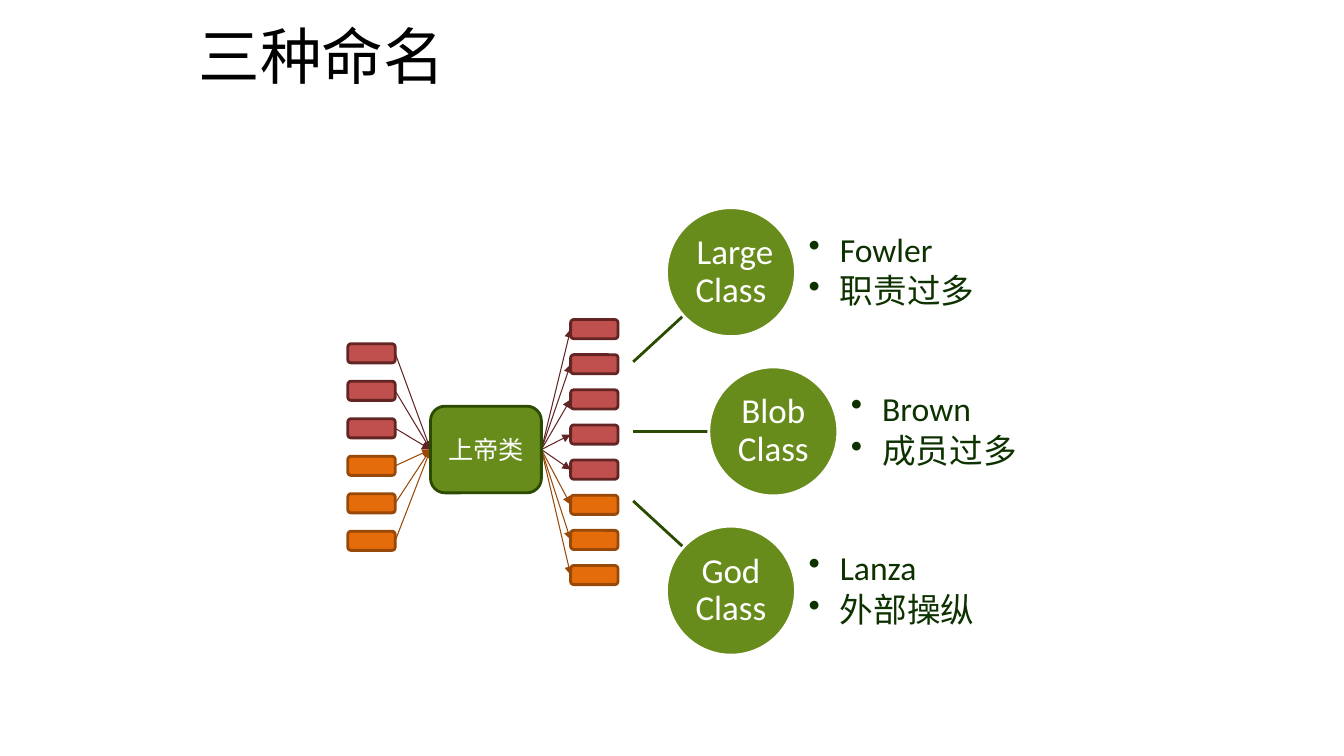
from dataclasses import dataclass

import pptx
import pptx.dml.color
import pptx.enum.shapes
import pptx.enum.text
import pptx.oxml
import pptx.oxml.ns
import pptx.util
from pptx.util import Inches

SHAPE = pptx.enum.shapes.MSO_SHAPE
ALIGN = pptx.enum.text.PP_ALIGN
MIDDLE = pptx.enum.text.MSO_ANCHOR.MIDDLE
GREEN, DARK_GREEN = "678C1C", "2B4B01"
RED, DARK_RED = "C0504D", "632523"
ORANGE, DARK_ORANGE = "E46C0A", "984807"
CIRCLE = 1.28


@dataclass
class Naming:
    name: str
    points: list[str]
    left: float
    top: float
    spoke: tuple[float, float, float, float]


@dataclass
class Column:
    left: float
    first: float
    last: float
    reds: int
    oranges: int
    incoming: bool


NAMINGS = [
    Naming(" Large Class", ["Fowler", "职责过多"], 6.61, 2.06, (6.28, 3.59, 6.78, 3.13)),
    Naming("Blob Class", ["Brown", "成员过多"], 7.03, 3.64, (6.28, 4.28, 7.03, 4.28)),
    Naming("God Class", ["Lanza", "外部操纵"], 6.61, 5.22, (6.28, 4.97, 6.78, 5.43)),
]
COLUMNS = [
    Column(3.45, 3.41, 5.27, 3, 3, True),
    Column(5.66, 3.17, 5.61, 5, 3, False),
]


def rgb(color: str):
    return pptx.dml.color.RGBColor.from_string(color)


def add_element(parent, xml: str):
    ns = pptx.oxml.ns.nsdecls("a")
    parent.append(pptx.oxml.parse_xml(xml.replace("/>", f" {ns}/>", 1)))


def format_font(font, size: float, color: str, name: str = "Calibri"):
    font.size = pptx.util.Pt(size)
    font.name = name
    font.color.rgb = rgb(color)


def set_frame(sp, inset: float):
    tf = sp.text_frame
    tf.word_wrap = True
    tf.vertical_anchor = MIDDLE
    tf.margin_left = tf.margin_right = tf.margin_top = tf.margin_bottom = Inches(inset)
    return tf


def add_box(s, kind, left: float, top: float, width: float, height: float, fill: str, line: str):
    sp = s.shapes.add_shape(kind, Inches(left), Inches(top), Inches(width), Inches(height))
    sp.shadow.inherit = False
    sp.fill.solid()
    sp.fill.fore_color.rgb = rgb(fill)
    sp.line.color.rgb = rgb(line)
    sp.line.width = pptx.util.Pt(2)
    return sp


def add_label(sp, text: str, size: float, inset: float, spacing: float = 1.0):
    tf = set_frame(sp, inset)
    tf.text = text
    p = tf.paragraphs[0]
    p.alignment = ALIGN.CENTER
    p.line_spacing = spacing
    format_font(p.runs[0].font, size, "FFFFFF")


def add_line(s, x1: float, y1: float, x2: float, y2: float, color: str, width: float, arrow: bool = False):
    cx = s.shapes.add_connector(
        pptx.enum.shapes.MSO_CONNECTOR.STRAIGHT, Inches(x1), Inches(y1), Inches(x2), Inches(y2))
    cx.line.color.rgb = rgb(color)
    cx.line.width = pptx.util.Pt(width)
    if arrow:
        add_element(cx.line._get_or_add_ln(), '<a:tailEnd type="triangle"/>')
    add_element(cx._element.spPr, "<a:effectLst/>")
    return cx


def add_title(s, text: str):
    sp = s.shapes.add_textbox(Inches(1.87), Inches(0.13), Inches(2.94), Inches(0.83))
    tf = sp.text_frame
    tf.word_wrap = True
    tf.vertical_anchor = MIDDLE
    tf.text = text
    format_font(tf.paragraphs[0].runs[0].font, 44, "000000", "Noto Sans CJK SC")


def add_points(s, points: list[str], left: float, top: float):
    sp = s.shapes.add_textbox(Inches(left), Inches(top), Inches(1.92), Inches(CIRCLE))
    tf = set_frame(sp, 0)
    tf.text = "\n".join(points)
    for p in tf.paragraphs:
        p.level = 1
        p.line_spacing = 0.9
        p.space_after = pptx.util.Pt(3.6)
        pPr = p._p.get_or_add_pPr()
        pPr.set("marL", str(Inches(0.31)))
        pPr.set("indent", str(-Inches(0.31)))
        add_element(pPr, '<a:buChar char="•"/>')
        format_font(p.runs[0].font, 24, "0D3200")


def add_naming(s, naming: Naming):
    add_line(s, *naming.spoke, DARK_GREEN, 2)
    sp = add_box(s, SHAPE.OVAL, naming.left, naming.top, CIRCLE, CIRCLE, GREEN, "FFFFFF")
    add_label(sp, naming.name, 25, 0.01, 0.9)
    add_points(s, naming.points, naming.left + CIRCLE + 0.13, naming.top)


def add_column(s, column: Column):
    colors = [(RED, DARK_RED)] * column.reds + [(ORANGE, DARK_ORANGE)] * column.oranges
    step = (column.last - column.first) / (len(colors) - 1)
    return [
        (add_box(s, SHAPE.ROUNDED_RECTANGLE, column.left, column.first + i * step, 0.47, 0.19, fill, line),
         line, column.incoming)
        for i, (fill, line) in enumerate(colors)
    ]


def add_god_class(s):
    members = [member for column in COLUMNS for member in add_column(s, column)]
    arrows = [add_line(s, 0, 0, 1, 1, color, 0.75, True) for _, color, _ in members]
    god = add_box(s, SHAPE.ROUNDED_RECTANGLE, 4.27, 4.03, 1.1, 0.86, GREEN, DARK_GREEN)
    add_label(god, "上帝类", 18, 0.05)
    for arrow, (member, _, incoming) in zip(arrows, members):
        source, target = (member, god) if incoming else (god, member)
        arrow.begin_connect(source, 3)
        arrow.end_connect(target, 1)


def main():
    prs = pptx.Presentation()
    prs.slide_width, prs.slide_height = Inches(13.33), Inches(7.5)
    s = prs.slides.add_slide(prs.slide_layouts[6])
    add_title(s, "三种命名")
    for naming in NAMINGS:
        add_naming(s, naming)
    add_god_class(s)
    prs.save("out.pptx")


if __name__ == "__main__":
    main()
